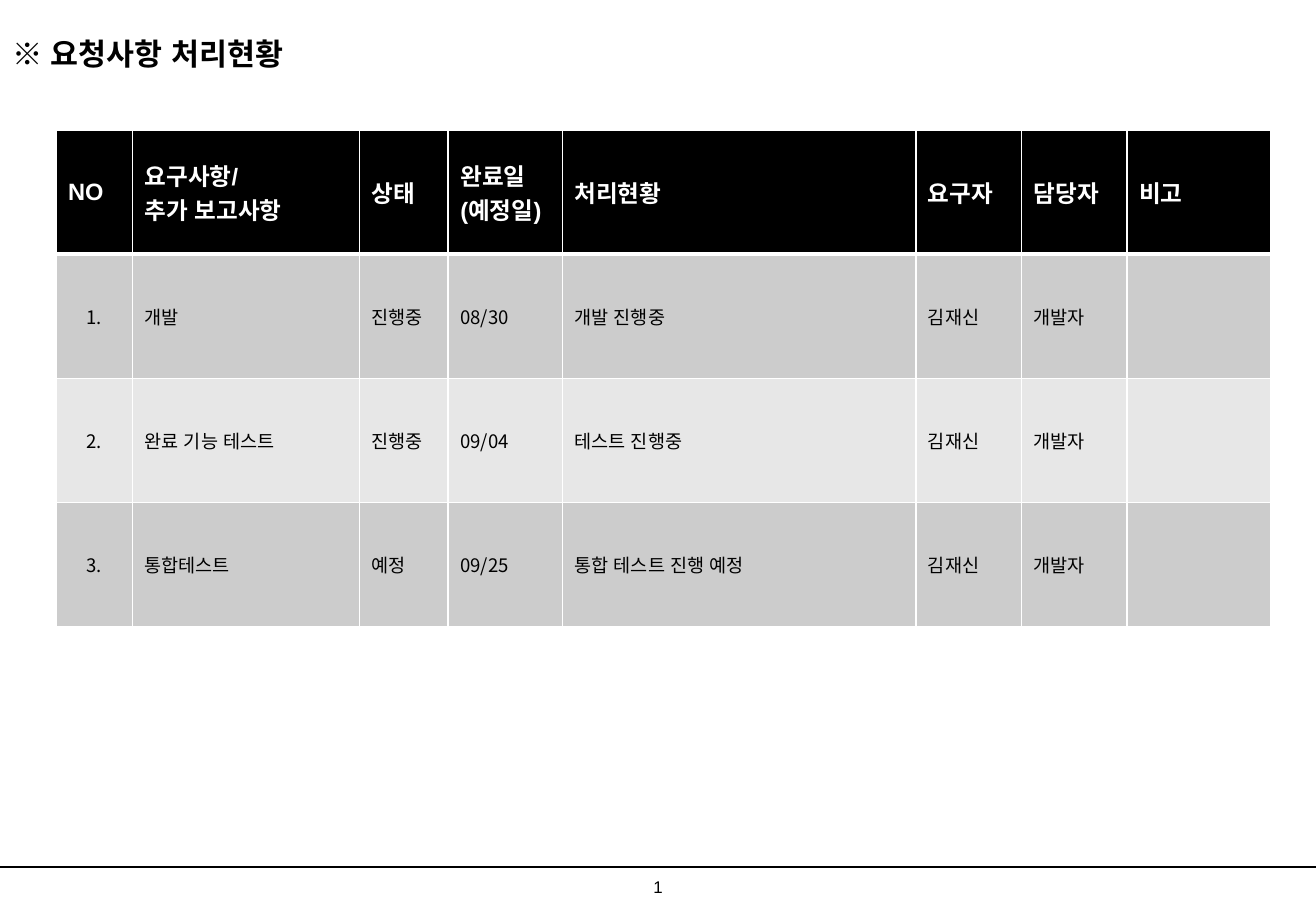
import pptx
import pptx.dml.color
import pptx.enum.lang
import pptx.enum.shapes
import pptx.enum.text
import pptx.oxml
import pptx.oxml.ns
import pptx.util
import lxml.etree

Pt = pptx.util.Pt
ALIGN = pptx.enum.text.PP_ALIGN
MIDDLE = pptx.enum.text.MSO_ANCHOR.MIDDLE
COLORS = {"ink": "000000", "paper": "FFFFFF", "odd": "CCCCCC", "even": "E7E7E7"}
LATIN, KOREAN = "Arial", "Noto Sans CJK KR"
WIDTHS = [45.36, 134.64, 52.56, 67.68, 209.52, 62.64, 62.64, 84.96]
ROW_HEIGHT = 73.6
HEADERS = ["NO", "요구사항/\n추가 보고사항", "상태", "완료일(예정일)",
           "처리현황", "요구자", "담당자", "비고"]
REQUESTS = [
    ["1.", "개발", "진행중", "08/30", "개발 진행중", "김재신", "개발자", ""],
    ["2.", "완료 기능 테스트", "진행중", "09/04", "테스트 진행중", "김재신", "개발자", ""],
    ["3.", "통합테스트", "예정", "09/25", "통합 테스트 진행 예정", "김재신", "개발자", ""],
]


class StatusPage:
    """Holds the style and the current slide, and draws its elements."""

    def __init__(self, deck):
        self.page = deck.slides.add_slide(deck.slide_layouts[5])

    def color(self, name):
        return pptx.dml.color.RGBColor.from_string(COLORS[name])

    def add_text(self, frame, text, size, color="ink", bold=False, latin=LATIN, align=ALIGN.LEFT):
        for index, line in enumerate(text.split("\n")):
            para = frame.add_paragraph() if index else frame.paragraphs[0]
            para.alignment = align
            span = para.add_run()
            span.text = line
            span.font.size = Pt(size)
            span.font.bold = bold
            span.font.color.rgb = self.color(color)
            span.font.name = latin
            span.font.language_id = pptx.enum.lang.MSO_LANGUAGE_ID.KOREAN
            east = lxml.etree.SubElement(span.font._element, pptx.oxml.ns.qn("a:ea"))
            east.set("typeface", KOREAN)

    def title(self, text):
        box = self.page.shapes.title
        box.left, box.top, box.width, box.height = Pt(0), Pt(9.36), Pt(702), Pt(44.64)
        box.text_frame.vertical_anchor = MIDDLE
        self.add_text(box.text_frame, text, 18, bold=True)

    def borders(self, cell, top, bottom):
        properties = cell._tc.get_or_add_tcPr()
        for index, (side, width) in enumerate([("L", 1), ("R", 1), ("T", top), ("B", bottom)]):
            properties.insert(index, pptx.oxml.parse_xml(
                f'<a:ln{side} {pptx.oxml.ns.nsdecls("a")} w="{Pt(width)}"><a:solidFill>'
                f'<a:srgbClr val="{COLORS["paper"]}"/></a:solidFill></a:ln{side}>'))

    def cell(self, cell, text, fill, top, bottom, **style):
        cell.vertical_anchor = MIDDLE
        cell.fill.solid()
        cell.fill.fore_color.rgb = self.color(fill)
        self.borders(cell, top, bottom)
        if text:
            self.add_text(cell.text_frame, text, **style)

    def table(self, left, top):
        count = len(REQUESTS) + 1
        grid = self.page.shapes.add_table(count, len(WIDTHS), Pt(left), Pt(top),
                                          Pt(sum(WIDTHS)), Pt(ROW_HEIGHT * count)).table
        grid.horz_banding = False
        for column, width in zip(grid.columns, WIDTHS):
            column.width = Pt(width)
        for row in grid.rows:
            row.height = Pt(ROW_HEIGHT)
        for column, text in enumerate(HEADERS):
            self.cell(grid.cell(0, column), text, "ink", 1, 3,
                      size=14, color="paper", bold=True)
        for number, request in enumerate(REQUESTS, 1):
            for column, text in enumerate(request):
                self.cell(grid.cell(number, column), text, "odd" if number % 2 else "even",
                          3 if number == 1 else 1, 1, size=11, latin=KOREAN,
                          align=ALIGN.LEFT if column else ALIGN.CENTER)

    def rule(self, top, width):
        line = self.page.shapes.add_connector(
            pptx.enum.shapes.MSO_CONNECTOR.STRAIGHT, Pt(0), Pt(top), Pt(width), Pt(top))
        line.line.color.rgb = self.color("ink")
        line.line.width = Pt(0.75)
        lxml.etree.SubElement(line._element.spPr, pptx.oxml.ns.qn("a:effectLst"))

    def page_number(self, text):
        box = self.page.shapes.add_textbox(Pt(380.16), Pt(516.24), Pt(26.64), Pt(19.44))
        box.text_frame.word_wrap = False
        self.add_text(box.text_frame, text, 10)


def main():
    deck = pptx.Presentation()
    deck.slide_width, deck.slide_height = Pt(780), Pt(540)
    status = StatusPage(deck)
    status.rule(514, 780)
    status.page_number("1")
    status.title("※ 요청사항 처리현황")
    status.table(33.12, 77.04)
    deck.save("out.pptx")


if __name__ == "__main__":
    main()
